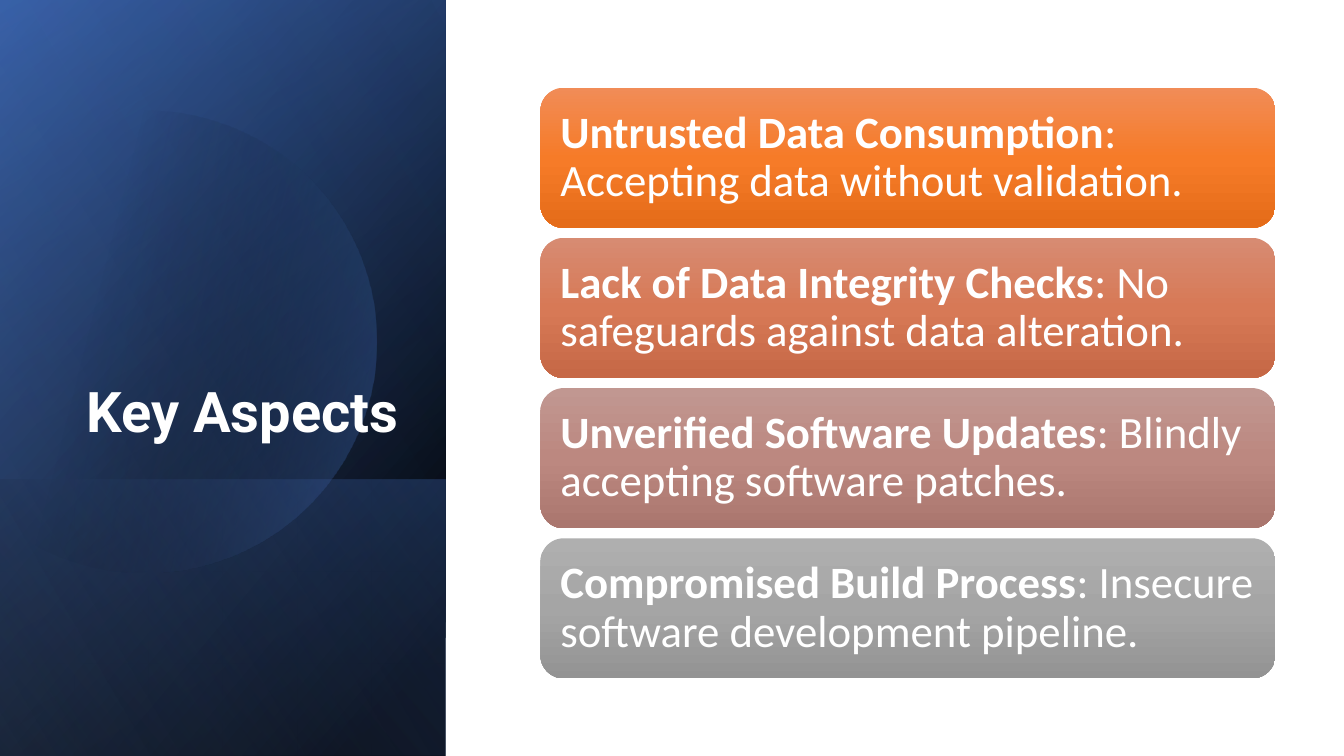
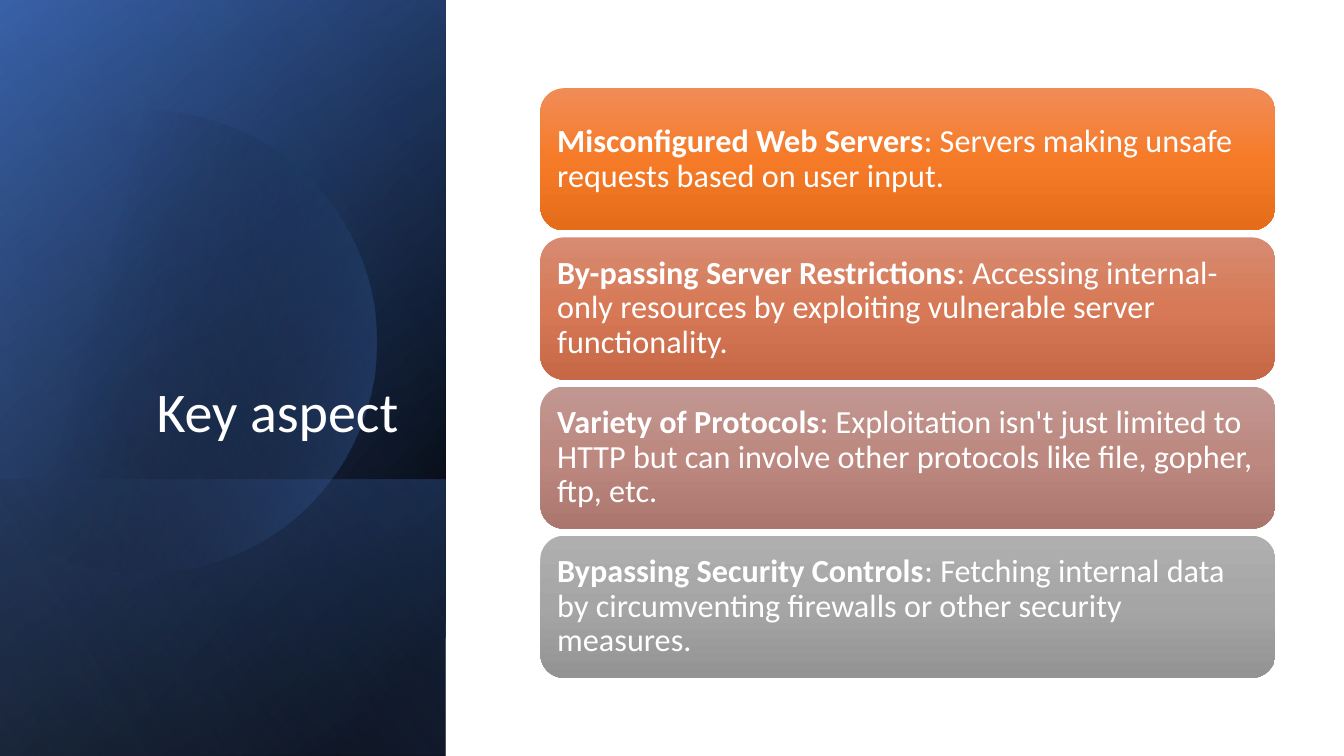
from dataclasses import dataclass
from math import acos, cos, sin

from lxml import etree
from pptx import Presentation
from pptx.dml.color import RGBColor
from pptx.enum import shapes, text
from pptx.oxml import ns
from pptx.util import Inches, Pt


@dataclass(frozen=True)
class Theme:
    """Colours, fonts and type sizes."""
    white: str = "FFFFFF"
    black: str = "000000"
    navy: str = "2F5597"
    blue: str = "4472C4"
    pale_blue: str = "8FAADC"
    card_tones: tuple = (
        ("F18C57", "F67B28", "E56C19"),
        ("D78B72", "D77956", "C66846"),
        ("C19791", "BC8880", "AA766E"),
        ("AFAFAF", "A5A5A5", "939393"),
    )
    title_font: str = "Roboto"
    body_font: str = "Calibri"
    title_size: int = 40
    large_size: int = 32
    small_size: int = 23


THEME = Theme()
SLIDE_W, SLIDE_H = 13.33, 7.5
PANEL_W = 4.42
CARD_LEFT, CARD_W, STACK_MIDDLE = 5.36, 7.29, 3.8


class Deck:
    """Holds the presentation, its style and the current slide."""

    def __init__(self, theme):
        self.theme = theme
        self.presentation = Presentation()
        self.presentation.slide_width = Inches(SLIDE_W)
        self.presentation.slide_height = Inches(SLIDE_H)
        self.slide = None

    def new_slide(self):
        self.slide = self.presentation.slides.add_slide(self.presentation.slide_layouts[6])

    def paint(self, shape, stops, angle):
        """Fill with a gradient of (position, colour, opacity) stops; no line, no shadow."""
        shape.shadow.inherit = False
        shape.line.fill.background()
        shape.fill.background()
        gradient = etree.Element(ns.qn("a:gradFill"), rotWithShape="1")
        stop_list = etree.SubElement(gradient, ns.qn("a:gsLst"))
        for position, colour, opacity in stops:
            stop = etree.SubElement(stop_list, ns.qn("a:gs"), pos=str(position * 1000))
            tint = etree.SubElement(stop, ns.qn("a:srgbClr"), val=colour)
            if opacity < 100:
                etree.SubElement(tint, ns.qn("a:alpha"), val=str(opacity * 1000))
        etree.SubElement(gradient, ns.qn("a:lin"), ang=str(angle * 60000), scaled="0")
        properties = shape.element.spPr
        properties.replace(properties.find(ns.qn("a:noFill")), gradient)

    def panel_layer(self, top, height, stops, angle):
        """Add a panel-wide layer, turned a quarter and mirrored."""
        left = (PANEL_W - height) / 2
        layer = self.slide.shapes.add_shape(
            shapes.MSO_SHAPE.RECTANGLE, Inches(left), Inches(top + (height - PANEL_W) / 2),
            Inches(height), Inches(PANEL_W))
        layer.rotation = 90
        layer.element.spPr.find(ns.qn("a:xfrm")).set("flipH", "1")
        self.paint(layer, stops, angle)

    def disc(self, centre_x, centre_y, radius, stops, angle, steps=120):
        """Add a disc that is cut off at the left edge of the slide."""
        end = acos(-centre_x / radius)
        turns = [end * (2 * step / steps - 1) for step in range(steps + 1)]
        rim = [(Inches(centre_x + radius * cos(turn)), Inches(centre_y + radius * sin(turn)))
               for turn in turns]
        builder = self.slide.shapes.build_freeform(*rim[0])
        builder.add_line_segments(rim[1:], close=True)
        self.paint(builder.convert_to_shape(), stops, angle)

    def side_panel(self):
        t = self.theme
        self.panel_layer(0, SLIDE_H, [(8, t.black, 100), (100, t.navy, 100)], 50)
        self.panel_layer(0, SLIDE_H, [(0, t.black, 0), (99, t.blue, 46)], 30)
        self.panel_layer(4.76, 2.74, [(2, t.blue, 29), (100, t.black, 30)], 130)
        self.disc(1.44, 3.39, 2.29, [(29, t.black, 0), (100, t.blue, 43)], 14)
        self.panel_layer(0, SLIDE_H, [(0, t.black, 0), (99, t.pale_blue, 11)], 120)

    def set_words(self, frame, pieces, size, font, anchor, align):
        """Set (words, bold) pieces as one paragraph."""
        frame.word_wrap = True
        frame.vertical_anchor = anchor
        paragraph = frame.paragraphs[0]
        paragraph.alignment = align
        paragraph.line_spacing = 0.9
        for words, bold in pieces:
            run = paragraph.add_run()
            run.text = words
            run.font.name = font
            run.font.size = Pt(size)
            run.font.bold = bold
            run.font.color.rgb = RGBColor.from_string(self.theme.white)

    def title(self, words, font, bold):
        box = self.slide.shapes.add_textbox(Inches(0.64), Inches(1.84), Inches(3.41), Inches(2.62))
        self.set_words(box.text_frame, [(words, bold)], self.theme.title_size, font,
                       text.MSO_ANCHOR.BOTTOM, text.PP_ALIGN.RIGHT)

    def card(self, top, height, tones, pieces, size, inset):
        card = self.slide.shapes.add_shape(
            shapes.MSO_SHAPE.ROUNDED_RECTANGLE, Inches(CARD_LEFT), Inches(top),
            Inches(CARD_W), Inches(height))
        self.paint(card, [(50 * i, tone, 100) for i, tone in enumerate(tones)], 90)
        frame = card.text_frame
        frame.margin_left = frame.margin_right = Inches(inset)
        frame.margin_top = frame.margin_bottom = Inches(inset)
        self.set_words(frame, pieces, size, self.theme.body_font,
                       text.MSO_ANCHOR.MIDDLE, text.PP_ALIGN.LEFT)

    def card_stack(self, aspects, height, gap, size, inset):
        """Stack one card per aspect around a common middle line."""
        pitch = height + gap
        first_top = STACK_MIDDLE - (len(aspects) * pitch - gap) / 2
        for i, (aspect, detail) in enumerate(aspects):
            self.card(first_top + i * pitch, height, self.theme.card_tones[i],
                      [(aspect, True), (": " + detail, False)], size, inset)


INTEGRITY_ASPECTS = [
    ("Untrusted Data Consumption", "Accepting data without validation."),
    ("Lack of Data Integrity Checks", "No safeguards against data alteration."),
    ("Unverified Software Updates", "Blindly accepting software patches."),
    ("Compromised Build Process", "Insecure software development pipeline."),
]
REQUEST_FORGERY_ASPECTS = [
    ("Misconfigured Web Servers", "Servers making unsafe requests based on user input."),
    ("By-passing Server Restrictions",
     "Accessing internal-only resources by exploiting vulnerable server functionality."),
    ("Variety of Protocols",
     "Exploitation isn't just limited to HTTP but can involve other protocols "
     "like file, gopher, ftp, etc."),
    ("Bypassing Security Controls",
     "Fetching internal data by circumventing firewalls or other security measures."),
]


def main():
    deck = Deck(THEME)

    # Data integrity
    deck.new_slide()
    deck.side_panel()
    deck.title("Key Aspects", THEME.title_font, True)
    deck.card_stack(INTEGRITY_ASPECTS, height=1.39, gap=0.1, size=THEME.large_size, inset=0.13)

    # Server-side requests
    deck.new_slide()
    deck.side_panel()
    deck.title("Key aspect", THEME.body_font, False)
    deck.card_stack(REQUEST_FORGERY_ASPECTS, height=1.41, gap=0.07, size=THEME.small_size,
                    inset=0.1)

    deck.presentation.save("out.pptx")


if __name__ == "__main__":
    main()
